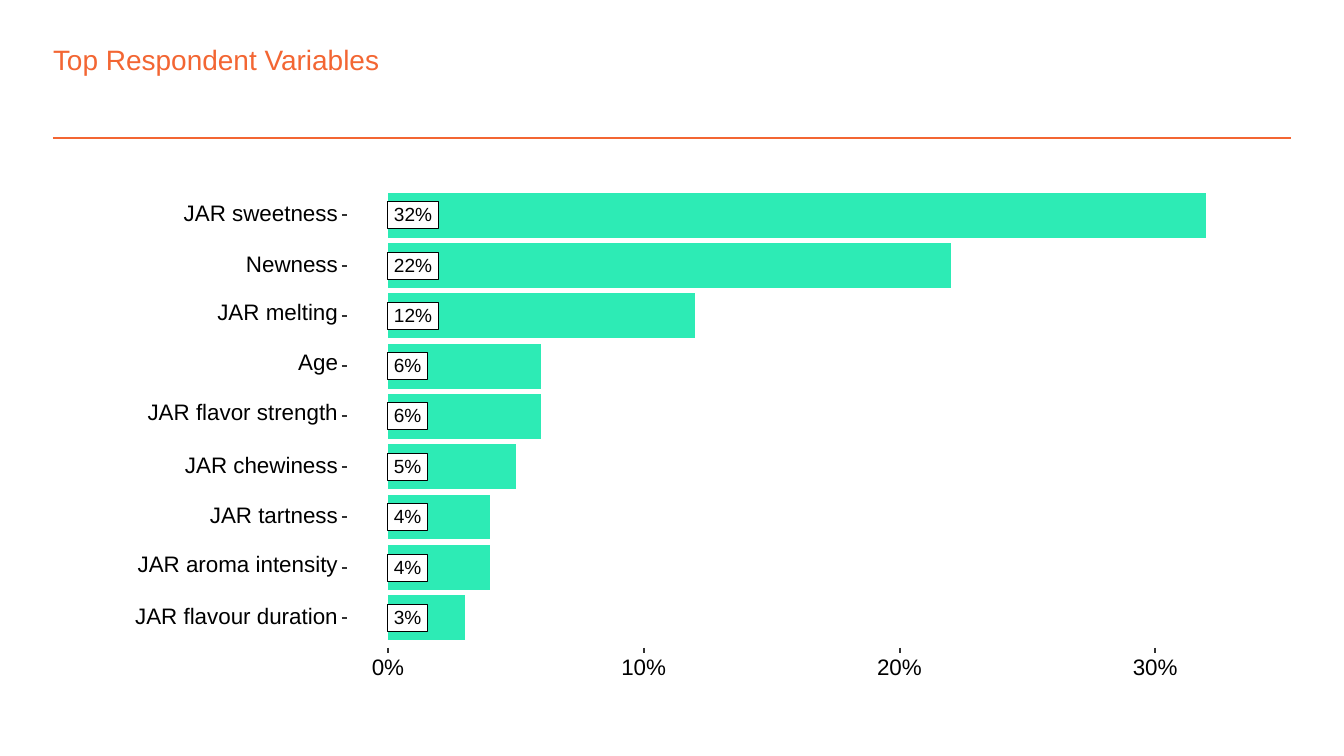
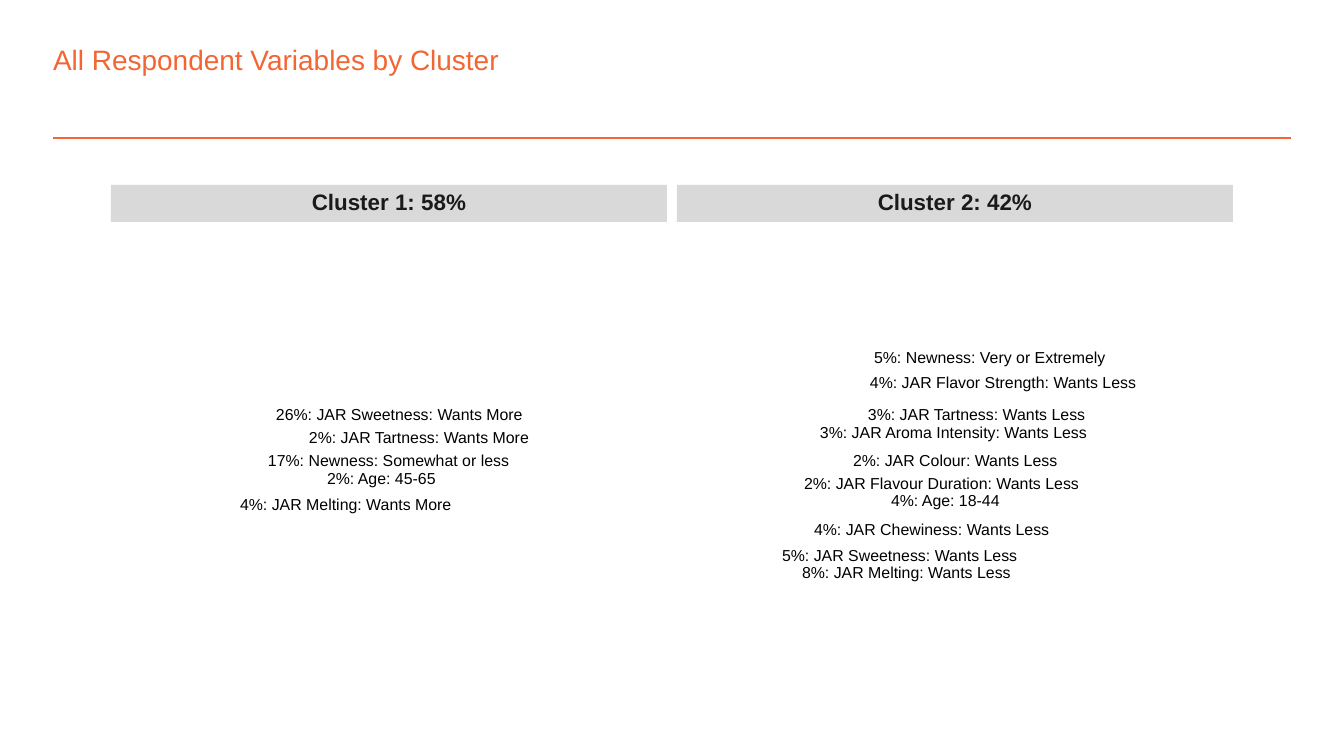
from dataclasses import dataclass

from pptx import Presentation
from pptx.chart.chart import Chart
from pptx.chart.data import CategoryChartData
from pptx.dml.color import RGBColor
from pptx.enum.chart import XL_CHART_TYPE, XL_TICK_LABEL_POSITION, XL_TICK_MARK
from pptx.enum.shapes import MSO_CONNECTOR, MSO_SHAPE
from pptx.enum.text import MSO_ANCHOR, PP_ALIGN
from pptx.oxml import parse_xml
from pptx.oxml.ns import nsdecls, qn
from pptx.oxml.xmlchemy import OxmlElement
from pptx.shapes.autoshape import Shape
from pptx.slide import Slide
from pptx.text.text import TextFrame
from pptx.util import Emu, Pt

LEFT, CENTER, RIGHT = PP_ALIGN.LEFT, PP_ALIGN.CENTER, PP_ALIGN.RIGHT
MIDDLE, TOP = MSO_ANCHOR.MIDDLE, MSO_ANCHOR.TOP
RECTANGLE = MSO_SHAPE.RECTANGLE
STRAIGHT = MSO_CONNECTOR.STRAIGHT
BAR_CHART = XL_CHART_TYPE.BAR_CLUSTERED
NO_TICK_LABELS = XL_TICK_LABEL_POSITION.NONE
LOW_TICK_LABELS = XL_TICK_LABEL_POSITION.LOW
NO_TICK = XL_TICK_MARK.NONE

ORANGE = RGBColor(0xF3, 0x66, 0x33)
MINT = RGBColor(0x2D, 0xEB, 0xB5)
WHITE = RGBColor(0xFF, 0xFF, 0xFF)
BLACK = RGBColor(0x00, 0x00, 0x00)
INK = RGBColor(0x1A, 0x1A, 0x1A)
TICK_GREY = RGBColor(0x33, 0x33, 0x33)
HEADER_GREY = RGBColor(0xD9, 0xD9, 0xD9)
FONT = "Arial"

PAGE_WIDTH, PAGE_HEIGHT = 1344, 756
EMU_PER_PX = 9144000 / PAGE_WIDTH


def px(length: float) -> Emu:
    return Emu(round(length * EMU_PER_PX))


@dataclass(frozen=True)
class Area:
    left: int
    top: int
    width: int
    height: int

    def emu(self) -> tuple[Emu, Emu, Emu, Emu]:
        return px(self.left), px(self.top), px(self.width), px(self.height)


@dataclass(frozen=True)
class TextStyle:
    size: float
    color: RGBColor = BLACK
    bold: bool = False
    align: PP_ALIGN = LEFT
    anchor: MSO_ANCHOR = MIDDLE
    wrap: bool = True
    fixed_spacing: bool = True


@dataclass(frozen=True)
class Variable:
    """A bar of the chart; lift raises its name above the row's middle."""
    name: str
    share: float
    lift: int = 0


@dataclass(frozen=True)
class ClusterLabel:
    text: str
    left: int
    middle: int
    width: int


@dataclass(frozen=True)
class Cluster:
    title: str
    labels: tuple[ClusterLabel, ...]


TITLE_STYLE = TextStyle(15, ORANGE, anchor=TOP, fixed_spacing=False)
NAME_STYLE = TextStyle(12, align=RIGHT)
SHARE_STYLE = TextStyle(10.2, align=CENTER, wrap=False)
LABEL_STYLE = TextStyle(8.5, wrap=False)
HEADER_STYLE = TextStyle(12, INK, bold=True, align=CENTER)

TITLE_AREA = Area(53, 42, 1114, 34)
RULE_LEFT, RULE_RIGHT, RULE_Y = 53, 1291, 138
PANEL_AREA = Area(101, 175, 1142, 538)

PLOT_AREA = Area(388, 190, 844, 453)
AXIS_MAX, AXIS_STEP = 0.33, 0.1
NAME_LEFT, NAME_WIDTH, NAME_HEIGHT = 108, 230, 20
SHARE_LEFT, SHARE_HEIGHT = 387, 27
SHARE_PADDING, CHARACTER_WIDTH = 19, 11
ROW_TICK_LEFT, COLUMN_TICK_TOP, TICK_LENGTH = 342, 648, 5

HEADER_AREA = Area(111, 185, 556, 37)
HEADER_GAP = 10
LABEL_HEIGHT = 14

VARIABLES = (
    Variable("JAR sweetness", 0.32),
    Variable("Newness", 0.22),
    Variable("JAR melting", 0.12, lift=2),
    Variable("Age", 0.06, lift=2),
    Variable("JAR flavor strength", 0.06, lift=2),
    Variable("JAR chewiness", 0.05),
    Variable("JAR tartness", 0.04),
    Variable("JAR aroma intensity", 0.04, lift=2),
    Variable("JAR flavour duration", 0.03),
)

CLUSTERS = (
    Cluster("Cluster 1: 58%", (
        ClusterLabel("26%: JAR Sweetness: Wants More", 276, 416, 247),
        ClusterLabel("2%: JAR Tartness: Wants More", 309, 439, 223),
        ClusterLabel("17%: Newness: Somewhat or less", 268, 462, 242),
        ClusterLabel("2%: Age: 45-65", 327, 480, 110),
        ClusterLabel("4%: JAR Melting: Wants More", 240, 506, 212),
    )),
    Cluster("Cluster 2: 42%", (
        ClusterLabel("5%: Newness: Very or Extremely", 874, 359, 233),
        ClusterLabel("4%: JAR Flavor Strength: Wants Less", 870, 384, 267),
        ClusterLabel("3%: JAR Tartness: Wants Less", 868, 416, 220),
        ClusterLabel("3%: JAR Aroma Intensity: Wants Less", 820, 434, 269),
        ClusterLabel("2%: JAR Colour: Wants Less", 853, 462, 206),
        ClusterLabel("2%: JAR Flavour Duration: Wants Less", 804, 485, 277),
        ClusterLabel("4%: Age: 18-44", 891, 502, 110),
        ClusterLabel("4%: JAR Chewiness: Wants Less", 814, 531, 237),
        ClusterLabel("5%: JAR Sweetness: Wants Less", 782, 557, 237),
        ClusterLabel("8%: JAR Melting: Wants Less", 802, 574, 210),
    )),
)


def write_text(frame: TextFrame, text: str, style: TextStyle) -> None:
    frame.margin_left = frame.margin_right = frame.margin_top = frame.margin_bottom = 0
    frame.word_wrap = style.wrap
    frame.vertical_anchor = style.anchor
    para = frame.paragraphs[0]
    para.text = text
    para.alignment = style.align
    if style.fixed_spacing:
        para.line_spacing = Pt(style.size)
    para.font.name = FONT
    para.font.size = Pt(style.size)
    para.font.bold = style.bold
    para.font.color.rgb = style.color


def add_text(page: Slide, area: Area, text: str, style: TextStyle) -> None:
    box = page.shapes.add_textbox(*area.emu())
    write_text(box.text_frame, text, style)


def add_rectangle(page: Slide, area: Area, fill: RGBColor,
                  border: RGBColor | None = None, border_width: float = 0.75) -> Shape:
    box = page.shapes.add_shape(RECTANGLE, *area.emu())
    box.shadow.inherit = False
    box.fill.solid()
    box.fill.fore_color.rgb = fill
    if border is None:
        box.line.fill.background()
    else:
        box.line.color.rgb = border
        box.line.width = Pt(border_width)
    return box


def add_line(page: Slide, start: tuple[int, int], end: tuple[int, int],
             color: RGBColor, width: float) -> None:
    line = page.shapes.add_connector(STRAIGHT, *map(px, start + end))
    line.line.color.rgb = color
    line.line.width = Pt(width)
    line._element.spPr.append(OxmlElement("a:effectLst"))


def add_page(deck: Presentation, title: str) -> Slide:
    """Add a blank page with the shared title, rule and white panel."""
    page = deck.slides.add_slide(deck.slide_layouts[6])
    add_line(page, (RULE_LEFT, RULE_Y), (RULE_RIGHT, RULE_Y), ORANGE, 1)
    add_text(page, TITLE_AREA, title, TITLE_STYLE)
    add_rectangle(page, PANEL_AREA, WHITE, WHITE)
    return page


def add_share_chart(page: Slide) -> None:
    data = CategoryChartData(number_format="0%")
    bottom_up = VARIABLES[::-1]
    data.categories = [variable.name for variable in bottom_up]
    data.add_series("Share", [variable.share for variable in bottom_up])
    chart = page.shapes.add_chart(BAR_CHART, *PANEL_AREA.emu(), data).chart
    chart.has_legend = False
    chart.has_title = False
    chart.font.name = FONT
    chart.font.size = Pt(12)
    chart.font.color.rgb = BLACK

    for axis in (chart.category_axis, chart.value_axis):
        axis.major_tick_mark = axis.minor_tick_mark = NO_TICK
        axis.has_major_gridlines = False
        axis.format.line.fill.background()
    chart.category_axis.tick_label_position = NO_TICK_LABELS
    value_axis = chart.value_axis
    value_axis.minimum_scale, value_axis.maximum_scale = 0, AXIS_MAX
    value_axis.major_unit = AXIS_STEP
    value_axis.tick_label_position = LOW_TICK_LABELS
    value_axis.tick_labels.number_format = "0%"
    value_axis.tick_labels.number_format_is_linked = False

    plot = chart.plots[0]
    plot.gap_width = 12
    plot.vary_by_categories = False
    fill = plot.series[0].format.fill
    fill.solid()
    fill.fore_color.rgb = MINT
    place_plot(chart)


def place_plot(chart: Chart) -> None:
    """Fix the inner plot area inside the chart frame."""
    places = {
        "x": (PLOT_AREA.left - PANEL_AREA.left) / PANEL_AREA.width,
        "y": (PLOT_AREA.top - PANEL_AREA.top) / PANEL_AREA.height,
        "w": PLOT_AREA.width / PANEL_AREA.width,
        "h": PLOT_AREA.height / PANEL_AREA.height,
    }
    modes = '<c:xMode val="edge"/><c:yMode val="edge"/>'
    values = "".join(f'<c:{key} val="{value:.4f}"/>' for key, value in places.items())
    layout = parse_xml(
        f'<c:layout {nsdecls("c")}><c:manualLayout><c:layoutTarget val="inner"/>'
        f'{modes}{values}</c:manualLayout></c:layout>')
    plot_area = chart._chartSpace.chart.plotArea
    for old_layout in plot_area.findall(qn("c:layout")):
        plot_area.remove(old_layout)
    plot_area.insert(0, layout)


def add_share_box(page: Slide, share: float, middle: int) -> None:
    text = f"{share:.0%}"
    width = SHARE_PADDING + CHARACTER_WIDTH * len(text)
    area = Area(SHARE_LEFT, middle - SHARE_HEIGHT // 2, width, SHARE_HEIGHT)
    box = add_rectangle(page, area, WHITE, BLACK, 0.53)
    write_text(box.text_frame, text, SHARE_STYLE)


def build_variables_page(deck: Presentation) -> None:
    page = add_page(deck, "Top Respondent Variables")
    add_share_chart(page)
    row_height = PLOT_AREA.height / len(VARIABLES)
    for row, variable in enumerate(VARIABLES):
        middle = round(PLOT_AREA.top + (row + 0.5) * row_height)
        add_share_box(page, variable.share, middle)
        name_top = middle - variable.lift - NAME_HEIGHT // 2
        add_text(page, Area(NAME_LEFT, name_top, NAME_WIDTH, NAME_HEIGHT),
                 variable.name, NAME_STYLE)
        add_line(page, (ROW_TICK_LEFT, middle), (ROW_TICK_LEFT + TICK_LENGTH, middle),
                 TICK_GREY, 1.07)
    for step in range(int(AXIS_MAX / AXIS_STEP) + 1):
        x = round(PLOT_AREA.left + step * AXIS_STEP / AXIS_MAX * PLOT_AREA.width)
        add_line(page, (x, COLUMN_TICK_TOP), (x, COLUMN_TICK_TOP + TICK_LENGTH),
                 TICK_GREY, 1.07)


def build_clusters_page(deck: Presentation) -> None:
    page = add_page(deck, "All Respondent Variables by Cluster")
    for column, cluster in enumerate(CLUSTERS):
        left = HEADER_AREA.left + column * (HEADER_AREA.width + HEADER_GAP)
        area = Area(left, HEADER_AREA.top, HEADER_AREA.width, HEADER_AREA.height)
        header = add_rectangle(page, area, HEADER_GREY)
        write_text(header.text_frame, cluster.title, HEADER_STYLE)
        for label in cluster.labels:
            area = Area(label.left, label.middle - LABEL_HEIGHT // 2, label.width, LABEL_HEIGHT)
            add_text(page, area, label.text, LABEL_STYLE)


def main() -> None:
    deck = Presentation()
    deck.slide_width, deck.slide_height = px(PAGE_WIDTH), px(PAGE_HEIGHT)
    build_variables_page(deck)
    build_clusters_page(deck)
    deck.save("out.pptx")


if __name__ == "__main__":
    main()
